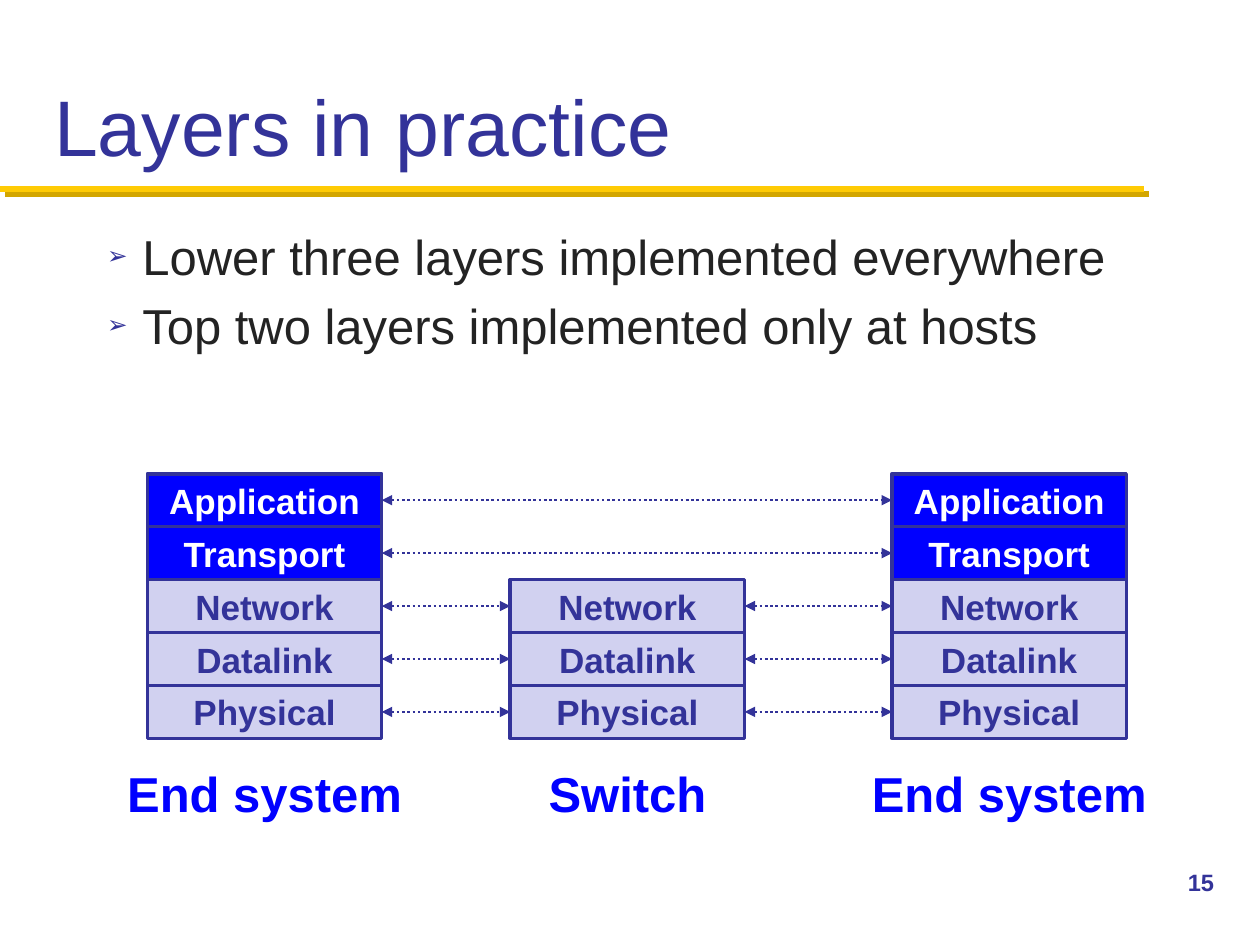
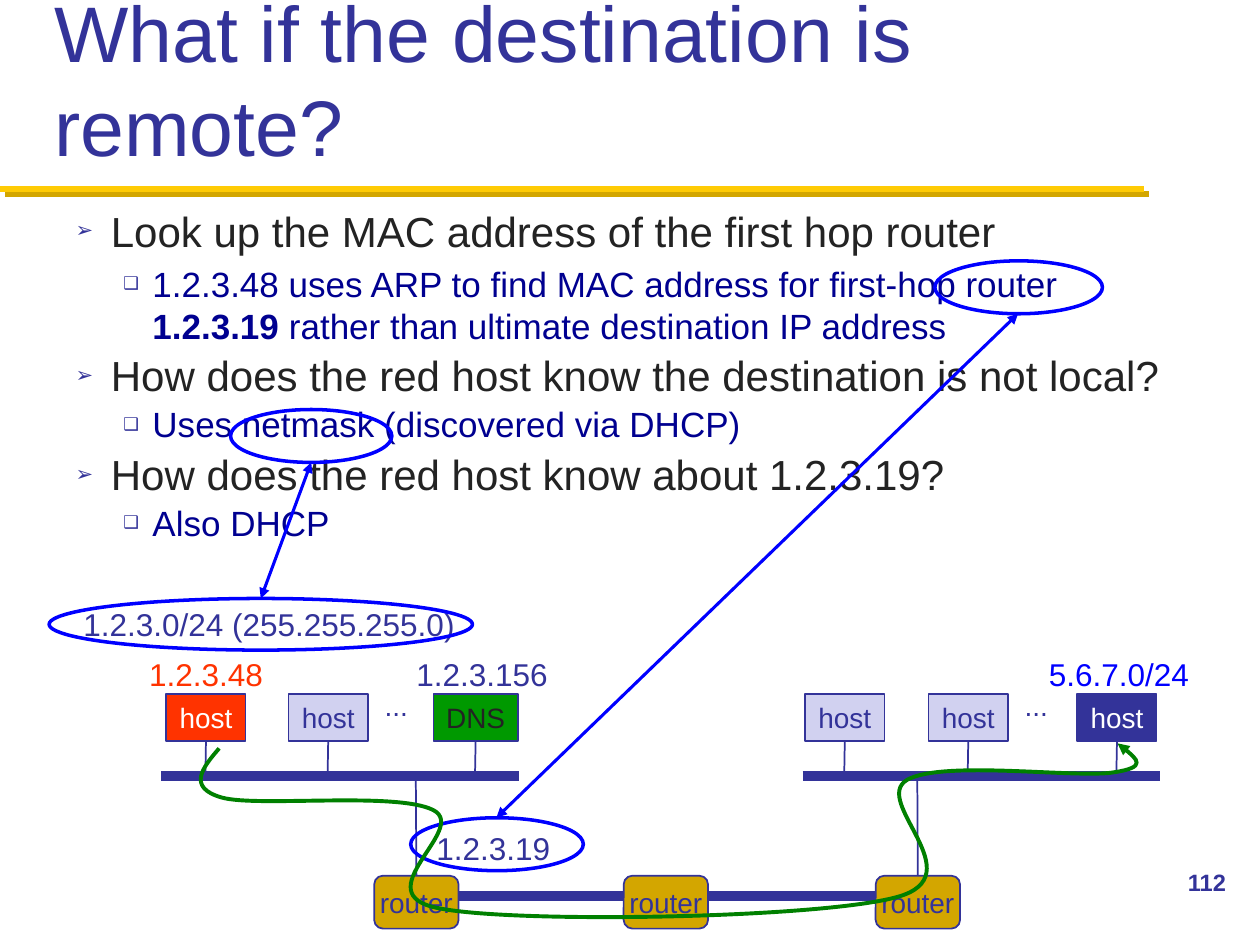
from dataclasses import dataclass
from itertools import pairwise

from lxml.etree import SubElement
from pptx import Presentation
from pptx.dml.color import RGBColor
from pptx.enum.dml import MSO_LINE
from pptx.enum.shapes import MSO_CONNECTOR, MSO_SHAPE
from pptx.enum.text import MSO_ANCHOR, MSO_AUTO_SIZE, PP_ALIGN
from pptx.oxml.ns import qn
from pptx.util import Pt


@dataclass(frozen=True)
class Theme:
    font: str = "Arial"
    navy: str = "333399"
    blue: str = "0000FF"
    pale: str = "D1D1F0"
    white: str = "FFFFFF"
    ink: str = "232323"
    deep: str = "000090"
    gold: str = "FFCB05"
    dark: str = "D3A600"
    red: str = "FF3300"
    green: str = "009900"
    route: str = "008000"
    title: float = 45
    large: float = 28
    point: float = 24
    sub: float = 20
    label: float = 18
    small: float = 16
    page: float = 13.5


T = Theme()
PX = 9144

LAYERS = {
    "title": "Layers in practice",
    "page": "15",
    "area": (75, 175, 867, 483),
    "sizes": (T.large,),
    "list": [
        (0, 1, "Lower three layers implemented everywhere"),
        (0, 1, "Top two layers implemented only at hosts"),
    ],
}
REMOTE = {
    "title": "What if the destination is remote?",
    "page": "112",
    "area": (50, 158, 900, 482),
    "sizes": (T.point, T.sub),
    "list": [
        (0, 1, "Look up the MAC address of the first hop router"),
        (1, 1, "1.2.3.48 uses ARP to find MAC address for first-hop router "
               "*1.2.3.19* rather than ultimate destination IP address"),
        (0, 0.9, "How does the red host know the destination is not local?"),
        (1, 0.9, "Uses netmask (discovered via DHCP)"),
        (0, 0.9, "How does the red host know about 1.2.3.19?"),
        (1, 0.9, "Also DHCP"),
    ],
}
LEVELS = [("➢", 28, 28, T.ink), ("❑", 61, 23, T.deep)]

STACK = ["Application", "Transport", "Network", "Datalink", "Physical"]
HOST_ONLY = 2
NODES = [("End system", 117, 0), ("Switch", 405, HOST_ONLY), ("End system", 708, 0)]
TOP, ROW, WIDE = 376, 42, 186

LANS = [
    (128, 295, [("host", 132, 63, T.red, T.white),
                ("host", 229, 63, T.pale, T.navy),
                ("DNS", 344, 67, T.green, T.ink)]),
    (637, 803, [("host", 639, 63, T.pale, T.navy),
                ("host", 737, 63, T.pale, T.navy),
                ("host", 855, 63, T.navy, T.white)]),
]
BUS, BUS_WIDE = 616, 284
ROUTERS = [297, 495, 695]
ROUTER_TOP, ROUTER_WIDE, LINK = 695, 67, 711
LABELS = [
    ("1.2.3.0/24 (255.255.255.0)", (43, 475, 341, 40), T.navy),
    ("5.6.7.0/24", (822, 515, 132, 40), T.blue),
    ("1.2.3.156", (320, 515, 125, 40), T.navy),
    ("1.2.3.48", (108, 515, 111, 40), T.red),
    ("1.2.3.19", (336, 653, 111, 40), T.navy),
]
RINGS = [
    ((742, 207, 133, 42), (326, 649, 137, 42)),
    ((183, 325, 128, 42), (39, 475, 336, 41)),
]
ROUTE = [
    (174, 594),
    (161, 609), (148, 625), (176, 633),
    (204, 641), (315, 628), (344, 643),
    (373, 658), (287, 710), (349, 721),
    (410, 733), (650, 729), (712, 712),
    (774, 695), (691, 636), (720, 619),
    (748, 603), (856, 618), (884, 613),
    (911, 609), (899, 599), (887, 590),
]


def scale(box):
    return [n * PX for n in box]


def style(run, size, color, bold=False):
    font = run.font
    font.name, font.size, font.bold = T.font, Pt(size), bold
    font.color.rgb = RGBColor.from_string(color)


def write(shape, text, size, color, bold=False, align=PP_ALIGN.CENTER):
    frame = shape.text_frame
    frame.text = text
    frame.word_wrap = False
    frame.vertical_anchor = MSO_ANCHOR.MIDDLE
    line = frame.paragraphs[0]
    line.alignment = align
    style(line.runs[0], size, color, bold)


def stroke(shape, color, width):
    shape.line.color.rgb = RGBColor.from_string(color)
    shape.line.width = Pt(width)


def tip(shape, *ends):
    for end in ends:
        SubElement(shape.element.find(".//" + qn("a:ln")), qn("a:" + end), type="triangle")


def block(slide, kind, box, fill, color, width):
    shape = slide.shapes.add_shape(kind, *scale(box))
    shape.shadow.inherit = False
    stroke(shape, color, width)
    if fill:
        shape.fill.solid()
        shape.fill.fore_color.rgb = RGBColor.from_string(fill)
    else:
        shape.fill.background()
    return shape


def wire(slide, start, end, color, width):
    line = slide.shapes.add_connector(MSO_CONNECTOR.STRAIGHT, *scale(start + end))
    stroke(line, color, width)
    SubElement(line.element.spPr, qn("a:effectLst"))
    return line


def label(slide, text, box, size, color, bold=False, align=PP_ALIGN.CENTER):
    write(slide.shapes.add_textbox(*scale(box)), text, size, color, bold, align)


def place(holder, box):
    holder.left, holder.top, holder.width, holder.height = scale(box)
    holder.text_frame.auto_size = MSO_AUTO_SIZE.NONE
    return holder.text_frame


def bullet(line, level):
    mark, left, hang, _ = LEVELS[level]
    props = line._p.get_or_add_pPr()
    props.set("marL", str(left * PX))
    props.set("indent", str(-hang * PX))
    SubElement(SubElement(props, qn("a:buClr")), qn("a:srgbClr"), val=T.navy)
    SubElement(props, qn("a:buSzPct"), val="50000")
    SubElement(props, qn("a:buChar"), char=mark)


def fill_list(frame, items, sizes):
    for index, (level, space, text) in enumerate(items):
        line = frame.add_paragraph() if index else frame.paragraphs[0]
        line.level = level
        bullet(line, level)
        line.line_spacing = space
        line.space_before = Pt(sizes[level] * 0.2 if index else 0)
        for turn, part in enumerate(text.split("*")):
            run = line.add_run()
            run.text = part
            style(run, sizes[level], LEVELS[level][3], turn % 2 == 1)


def add_band(slide, layout):
    band = wire(slide, (0, 150), (908, 150), T.gold, 3.5)
    effect = band.element.spPr.find(qn("a:effectLst"))
    shade = SubElement(effect, qn("a:outerShdw"), dist="53340", dir="2700000",
                       algn="ctr", rotWithShape="0")
    SubElement(shade, qn("a:srgbClr"), val=T.dark)
    layout.shapes.element.append(band.element)


def add_slide(deck, layout, page):
    slide = deck.slides.add_slide(layout)
    frame = place(slide.shapes.title, (33, 17, 933, 125))
    frame.text = page["title"]
    frame.vertical_anchor = MSO_ANCHOR.BOTTOM
    frame.paragraphs[0].alignment = PP_ALIGN.LEFT
    style(frame.paragraphs[0].runs[0], T.title, T.navy)
    fill_list(place(slide.placeholders[1], page["area"]), page["list"], page["sizes"])
    label(slide, page["page"], (933, 683, 67, 34), T.page, T.navy, True, PP_ALIGN.LEFT)
    return slide


def draw_stacks(slide):
    rows = [[] for _ in STACK]
    for name, left, first in NODES:
        for index in range(first, len(STACK)):
            fill, color = (T.blue, T.white) if index < HOST_ONLY else (T.pale, T.navy)
            box = (left, TOP + index * ROW, WIDE, ROW)
            cell = block(slide, MSO_SHAPE.RECTANGLE, box, fill, T.navy, 2)
            write(cell, STACK[index], T.sub, color, True)
            rows[index].append(cell)
        label(slide, name, (left - 27, 601, WIDE + 54, 57), T.large, T.blue, True)
    for row in rows:
        for near, far in pairwise(row):
            line = wire(slide, (0, 0), (0, 0), T.navy, 1.5)
            line.begin_connect(near, 3)
            line.end_connect(far, 1)
            line.line.dash_style = MSO_LINE.ROUND_DOT
            tip(line, "headEnd", "tailEnd")


def draw_net(slide):
    for left, dots, hosts in LANS:
        wire(slide, (left, BUS), (left + BUS_WIDE, BUS), T.navy, 6)
        for name, x, wide, fill, color in hosts:
            host = block(slide, MSO_SHAPE.RECTANGLE, (x, 551, wide, 37), fill, T.navy, 1)
            write(host, name, T.small, color)
            mid = x + wide // 2
            wire(slide, (mid, 588), (mid, BUS), T.navy, 1).begin_connect(host, 2)
        label(slide, "...", (dots, 541, 39, 37), T.small, T.navy)
    nodes = []
    for x in ROUTERS:
        box = (x, ROUTER_TOP, ROUTER_WIDE, 42)
        node = block(slide, MSO_SHAPE.ROUNDED_RECTANGLE, box, T.dark, T.navy, 1)
        write(node, "router", T.small, T.navy)
        nodes.append(node)
    for x, node in ((ROUTERS[0], nodes[0]), (ROUTERS[-1], nodes[-1])):
        mid = x + ROUTER_WIDE // 2
        wire(slide, (mid, BUS), (mid, ROUTER_TOP), T.navy, 1).end_connect(node, 0)
    for near, far in pairwise(ROUTERS):
        wire(slide, (near + ROUTER_WIDE, LINK), (far, LINK), T.navy, 6)
    for text, box, color in LABELS:
        label(slide, text, box, T.label, color)


def draw_rings(slide):
    for upper, lower in RINGS:
        for box in (upper, lower):
            block(slide, MSO_SHAPE.OVAL, box, None, T.blue, 2)
        start = (upper[0] + upper[2] // 2, upper[1] + upper[3])
        end = (lower[0] + lower[2] // 2, lower[1])
        tip(wire(slide, start, end, T.blue, 1.75), "headEnd", "tailEnd")


def draw_route(slide):
    pen = slide.shapes.build_freeform(*ROUTE[0], scale=PX)
    pen.add_line_segments(ROUTE[1:], close=False)
    curve = pen.convert_to_shape()
    curve.shadow.inherit = False
    curve.fill.background()
    stroke(curve, T.route, 2.25)
    tip(curve, "tailEnd")
    track = curve.element.find(".//" + qn("a:path"))
    steps = track.findall(qn("a:lnTo"))
    for index in range(0, len(steps), 3):
        bend = SubElement(track, qn("a:cubicBezTo"))
        for step in steps[index:index + 3]:
            bend.append(step[0])
            track.remove(step)


def main():
    deck = Presentation()
    deck.slide_width, deck.slide_height = scale((1000, 750))
    layout = deck.slide_layouts[1]
    first = add_slide(deck, layout, LAYERS)
    add_band(first, layout)
    draw_stacks(first)
    second = add_slide(deck, layout, REMOTE)
    draw_net(second)
    draw_rings(second)
    draw_route(second)
    deck.save("out.pptx")


if __name__ == "__main__":
    main()
